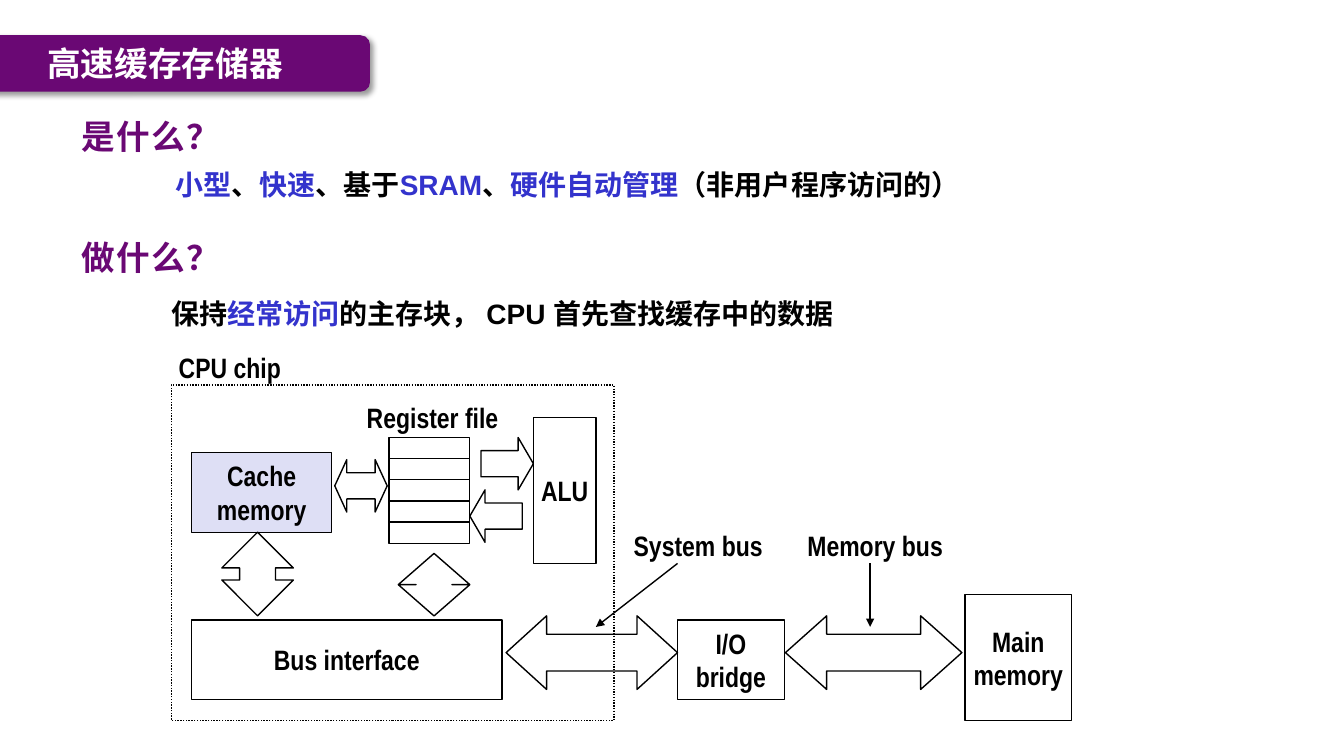
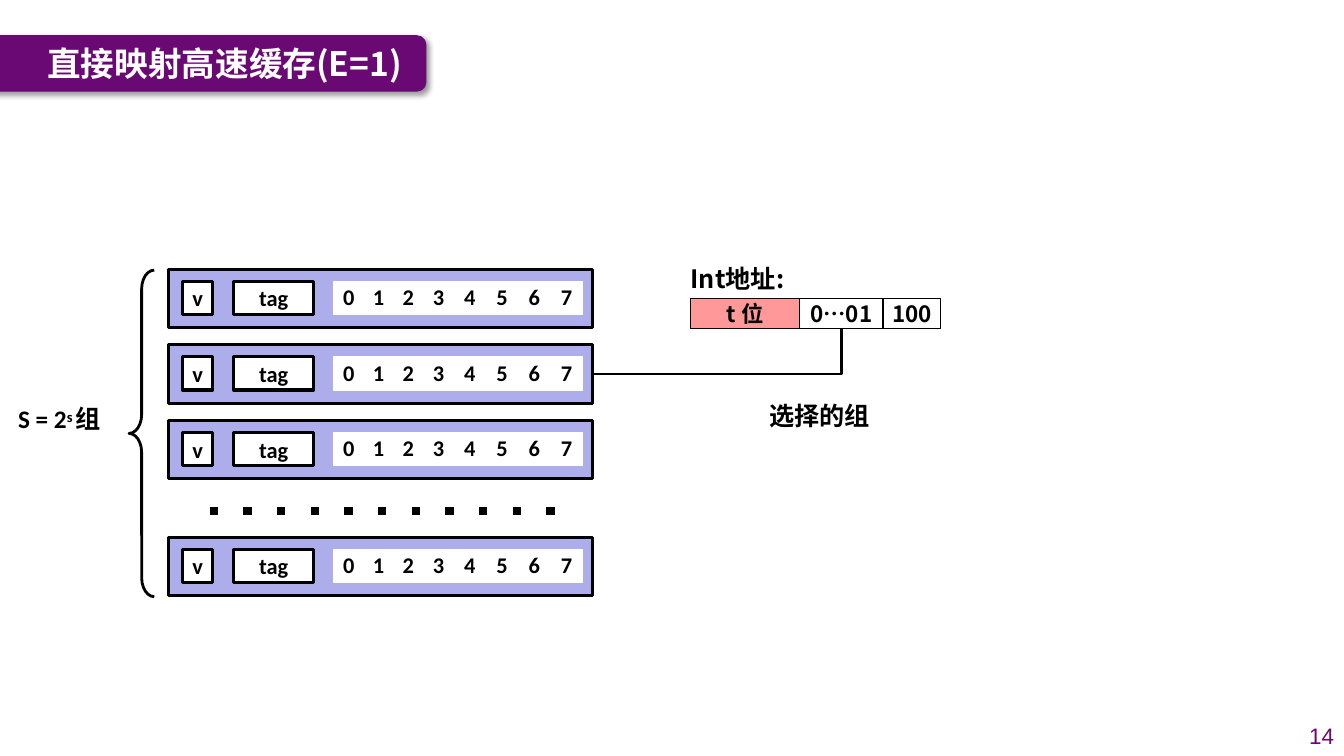
import pptx
import pptx.util
import pptx.dml.color
import pptx.enum.shapes
import pptx.enum.text
import pptx.oxml.ns
from lxml import etree

Inches, Pt = pptx.util.Inches, pptx.util.Pt
qn = pptx.oxml.ns.qn
SHAPE = pptx.enum.shapes.MSO_SHAPE
STRAIGHT = pptx.enum.shapes.MSO_CONNECTOR.STRAIGHT
ALIGN = pptx.enum.text.PP_ALIGN
ANCHOR = pptx.enum.text.MSO_ANCHOR


class Theme:
    purple, black, white = "6A0874", "000000", "FFFFFF"
    key, cache, cache_set, tag_bits = "3333CC", "DEDFF5", "ADADEB", "FF9999"
    cjk, body, diagram, memory = "Noto Sans CJK SC", "Arial", "Arial Narrow", "Calibri"
    title, text, label, small = 24, 20, 18, 16
    thin, medium, thick, dots = 1, 2, 2.25, 6


# Content: what a cache is. Runs are (text, colour)
CACHE_TITLE = ("高速缓存存储器", 3.67)  # title, right end of its band
QUESTIONS = [
    ("是什么？", 1.1, (1.64, 1.61, 8.67), [
        ("小型", Theme.key), ("、", Theme.black), ("快速", Theme.key),
        ("、基于", Theme.black), ("SRAM", Theme.key), ("、", Theme.black),
        ("硬件自动管理", Theme.key), ("（非用户程序访问的）", Theme.black)]),
    ("做什么？", 2.3, (1.6, 2.89, 7.01), [
        ("保持", Theme.black), ("经常访问", Theme.key),
        ("的主存块， CPU 首先查找缓存中的数据", Theme.black)]),
]
BLOCKS = [  # text, left, top, width, height, fill
    ("Main\nmemory", 9.57, 5.9, 1.06, 1.25, None),
    ("I/O\nbridge", 6.72, 6.15, 1.06, 0.79, None),
    ("Bus interface", 1.9, 6.15, 3.08, 0.79, None),
    ("ALU", 5.29, 4.14, 0.62, 1.45, None),
    ("Cache\nmemory", 1.9, 4.49, 1.39, 0.79, Theme.cache),
]
CAPTIONS = [  # text, left, top, width
    ("Register file", 3.53, 3.92, 1.52), ("CPU chip", 1.67, 3.42, 1.22),
    ("System bus", 6.18, 5.19, 1.49), ("Memory bus", 7.9, 5.19, 1.56),
]
BUS_ARROWS = [  # shape, left, top, width, height, adjustments
    (SHAPE.LEFT_RIGHT_ARROW, 7.79, 6.11, 1.75, 0.73, (0.5, 0.56)),
    (SHAPE.LEFT_RIGHT_ARROW, 5.02, 6.11, 1.7, 0.73, (0.5, 0.55)),
    (SHAPE.LEFT_RIGHT_ARROW, 3.32, 4.56, 0.52, 0.52, (0.5, 0.23)),
    (SHAPE.RIGHT_ARROW, 4.77, 4.34, 0.52, 0.52, (0.5, 0.29)),
    (SHAPE.LEFT_ARROW, 4.66, 4.86, 0.52, 0.52, (0.5, 0.29)),
    # Vertical arrows take the head length first, then the shaft width
    (SHAPE.UP_DOWN_ARROW, 3.95, 5.49, 0.71, 0.62, (0.2, 0.5)),
    (SHAPE.UP_DOWN_ARROW, 2.2, 5.28, 0.71, 0.83, (0.2, 0.5)),
]
POINTERS = [(6.72, 5.59, 5.91, 6.22), (8.63, 5.59, 8.63, 6.22)]
CPU_CHIP = (1.7, 3.82, 4.39, 3.33)
REGISTERS = (3.86, 4.34, 0.8, 0.21)
REGISTER_COUNT = 5

# Content: direct-mapped cache
MAPPING_TITLE = ("直接映射高速缓存(E=1)", 4.23)
SET_TOPS = [2.67, 3.42, 4.17, 5.33]
SET_FIELDS = [("v", 1.81, 0.3), ("tag", 2.32, 0.79)]  # text, left, width
BYTES = "01234567"
BYTE_WIDTHS = [0.3, 0.29, 0.3, 0.3, 0.32, 0.32, 0.32, 0.32]
ADDRESS_FIELDS = [  # bits, width, fill
    ("t 位", 1.08, Theme.tag_bits), ("0…01", 0.83, None), ("100", 0.57, None)]
PAGE = "14"


def rgb(value):
    return pptx.dml.color.RGBColor.from_string(value)


def style(paragraph, size, face, color=Theme.black, bold=True, align=ALIGN.LEFT, spacing=None):
    paragraph.alignment = align
    font = paragraph.font
    font.size, font.name, font.bold = Pt(size), face, bold
    font.color.rgb = rgb(color)
    defaults = paragraph._p.pPr.find(qn("a:defRPr"))
    etree.SubElement(defaults, qn("a:ea"), typeface=Theme.cjk)
    if spacing:
        defaults.set("spc", str(spacing * 100))


def set_frame(frame, anchor=ANCHOR.TOP, wrap=True, inset=True):
    frame.word_wrap, frame.vertical_anchor = wrap, anchor
    frame.auto_size = pptx.enum.text.MSO_AUTO_SIZE.NONE
    side, end = (0.1, 0.05) if inset else (0, 0)
    frame.margin_left = frame.margin_right = Inches(side)
    frame.margin_top = frame.margin_bottom = Inches(end)


def write(frame, text, size, face, **look):
    frame.text = text
    for paragraph in frame.paragraphs:
        style(paragraph, size, face, **look)


def text_box(slide, box, **layout):
    frame = slide.shapes.add_textbox(*map(Inches, box)).text_frame
    set_frame(frame, **layout)
    return frame


def paint(shape, fill=None, weight=Theme.thin):
    shape.shadow.inherit = False
    if fill:
        shape.fill.solid()
        shape.fill.fore_color.rgb = rgb(fill)
    else:
        shape.fill.background()
    if weight:
        shape.line.color.rgb = rgb(Theme.black)
        shape.line.width = Pt(weight)
    else:
        shape.line.fill.background()


def draw(slide, kind, box, fill=None, weight=Theme.thin, ratios=()):
    shape = slide.shapes.add_shape(kind, *map(Inches, box))
    paint(shape, fill, weight)
    for index, ratio in enumerate(ratios):
        shape.adjustments[index] = ratio
    return shape


def field(slide, text, face, box, fill, weight):
    frame = draw(slide, SHAPE.RECTANGLE, box, fill, weight).text_frame
    set_frame(frame, ANCHOR.MIDDLE, inset=False)
    write(frame, text, Theme.small, face, align=ALIGN.CENTER)


def line_detail(shape, tag, **attributes):
    etree.SubElement(shape._element.spPr.find(qn("a:ln")), qn(tag), **attributes)


def connect(slide, ends, weight):
    line = slide.shapes.add_connector(STRAIGHT, *map(Inches, ends))
    line.line.color.rgb = rgb(Theme.black)
    line.line.width = Pt(weight)
    etree.SubElement(line._element.spPr, qn("a:effectLst"))
    return line


def titled_slide(deck, title, band_end):
    slide = deck.slides.add_slide(deck.slide_layouts[5])
    band = draw(slide, SHAPE.ROUNDED_RECTANGLE, (-0.2, 0.35, band_end + 0.2, 0.56),
                Theme.purple, weight=0)
    effects = band._element.spPr.find(qn("a:effectLst"))
    shadow = etree.SubElement(effects, qn("a:outerShdw"), blurRad=str(Pt(4)), dist=str(Pt(3)),
                              dir="2700000", algn="tl", rotWithShape="0")
    tint = etree.SubElement(shadow, qn("a:srgbClr"), val=Theme.black)
    etree.SubElement(tint, qn("a:alpha"), val="40000")
    slide.shapes._spTree.insert(2, band._element)  # behind the title
    heading = slide.shapes.title
    heading.left, heading.top = Inches(0.37), Inches(0.35)
    heading.width, heading.height = Inches(band_end - 0.25), Inches(0.55)
    set_frame(heading.text_frame, ANCHOR.MIDDLE)
    write(heading.text_frame, title, Theme.title, Theme.cjk, color=Theme.white)
    return slide


def cache_slide(deck):
    slide = titled_slide(deck, *CACHE_TITLE)

    # Questions and answers
    for question, top, (left, answer_top, width), runs in QUESTIONS:
        write(text_box(slide, (0.71, top, 1.6, 0.5), wrap=False), question,
              Theme.title, Theme.cjk, color=Theme.purple, spacing=1)
        answer = text_box(slide, (left, answer_top, width, 0.44)).paragraphs[0]
        style(answer, Theme.text, Theme.body)
        for text, color in runs:
            run = answer.add_run()
            run.text = text
            run.font.color.rgb = rgb(color)

    # Chip outline, blocks and registers
    chip = draw(slide, SHAPE.RECTANGLE, CPU_CHIP)
    line_detail(chip, "a:prstDash", val="sysDot")
    for text, left, top, width, height, fill in BLOCKS:
        block = draw(slide, SHAPE.RECTANGLE, (left, top, width, height), fill)
        set_frame(block.text_frame, ANCHOR.MIDDLE, wrap=False)
        write(block.text_frame, text, Theme.text, Theme.diagram, align=ALIGN.CENTER)
    left, top, width, height = REGISTERS
    for row in range(REGISTER_COUNT):
        draw(slide, SHAPE.RECTANGLE, (left, top + row * height, width, height))

    # Buses, captions and pointers
    for kind, *box, ratios in BUS_ARROWS:
        draw(slide, kind, box, ratios=ratios)
    for text, left, top, width in CAPTIONS:
        frame = text_box(slide, (left, top, width, 0.44), anchor=ANCHOR.MIDDLE, wrap=False)
        write(frame, text, Theme.text, Theme.diagram, align=ALIGN.CENTER)
    for ends in POINTERS:
        line_detail(connect(slide, ends, Theme.thin), "a:tailEnd", type="triangle")


def cache_set(slide, top):
    draw(slide, SHAPE.RECTANGLE, (1.67, top, 4.21, 0.58), Theme.cache_set, Theme.thick)
    inner_top, height = top + 0.12, 0.33
    for text, left, width in SET_FIELDS:
        field(slide, text, Theme.memory, (left, inner_top, width, height),
              Theme.white, Theme.thick)
    block = slide.shapes.add_table(1, len(BYTES), *map(
        Inches, (3.31, inner_top, sum(BYTE_WIDTHS), height))).table
    block.first_row = block.horz_banding = False
    for column, (byte, width) in enumerate(zip(BYTES, BYTE_WIDTHS)):
        block.columns[column].width = Inches(width)
        cell = block.cell(0, column)
        cell.margin_left = cell.margin_right = cell.margin_top = cell.margin_bottom = 0
        cell.vertical_anchor = ANCHOR.MIDDLE
        cell.fill.solid()
        cell.fill.fore_color.rgb = rgb(Theme.white)
        write(cell.text_frame, byte, Theme.small, Theme.memory, align=ALIGN.CENTER)


def mapping_slide(deck):
    slide = titled_slide(deck, *MAPPING_TITLE)

    # Cache sets, with dots for those left out
    for top in SET_TOPS:
        cache_set(slide, top)
    line_detail(connect(slide, (2.08, 5.07, 5.5, 5.07), Theme.dots), "a:prstDash", val="dot")

    # Number of sets
    draw(slide, SHAPE.LEFT_BRACE, (1.28, 2.68, 0.25, 3.24), None, Theme.medium, (0.75, 0.5))
    set_count = text_box(slide, (0.18, 4, 1.05, 0.3), inset=False).paragraphs[0]
    style(set_count, Theme.label, Theme.memory)
    for text, raised in [("S = 2", False), ("s ", True), ("组", False)]:
        run = set_count.add_run()
        run.text = text
        if raised:
            run.font._element.set("baseline", "25000")

    # Address, one box for each group of bits
    left, top, height = 6.85, 2.96, 0.3
    write(text_box(slide, (left, 2.61, 2.73, 0.36), inset=False), "Int地址:",
          Theme.label, Theme.cjk)
    for bits, width, fill in ADDRESS_FIELDS:
        field(slide, bits, Theme.cjk, (left, top, width, height), fill, Theme.thin)
        left += width

    # Link from the set index to the chosen set
    link = slide.shapes.build_freeform(Inches(8.35), Inches(3.25))
    corners = [(8.35, 3.71), (5.88, 3.71)]
    link.add_line_segments([(Inches(x), Inches(y)) for x, y in corners], close=False)
    paint(link.convert_to_shape(), weight=Theme.medium)
    write(text_box(slide, (7.63, 3.97, 1.2, 0.36), inset=False), "选择的组",
          Theme.label, Theme.cjk)

    # Page number
    write(text_box(slide, (12.78, 7.1, 0.55, 0.4), anchor=ANCHOR.MIDDLE), PAGE, Theme.small,
          Theme.body, color=Theme.purple, bold=False, align=ALIGN.RIGHT)


def main():
    deck = pptx.Presentation()
    deck.slide_width, deck.slide_height = Inches(13.33), Inches(7.5)
    cache_slide(deck)
    mapping_slide(deck)
    deck.save("out.pptx")


if __name__ == "__main__":
    main()
